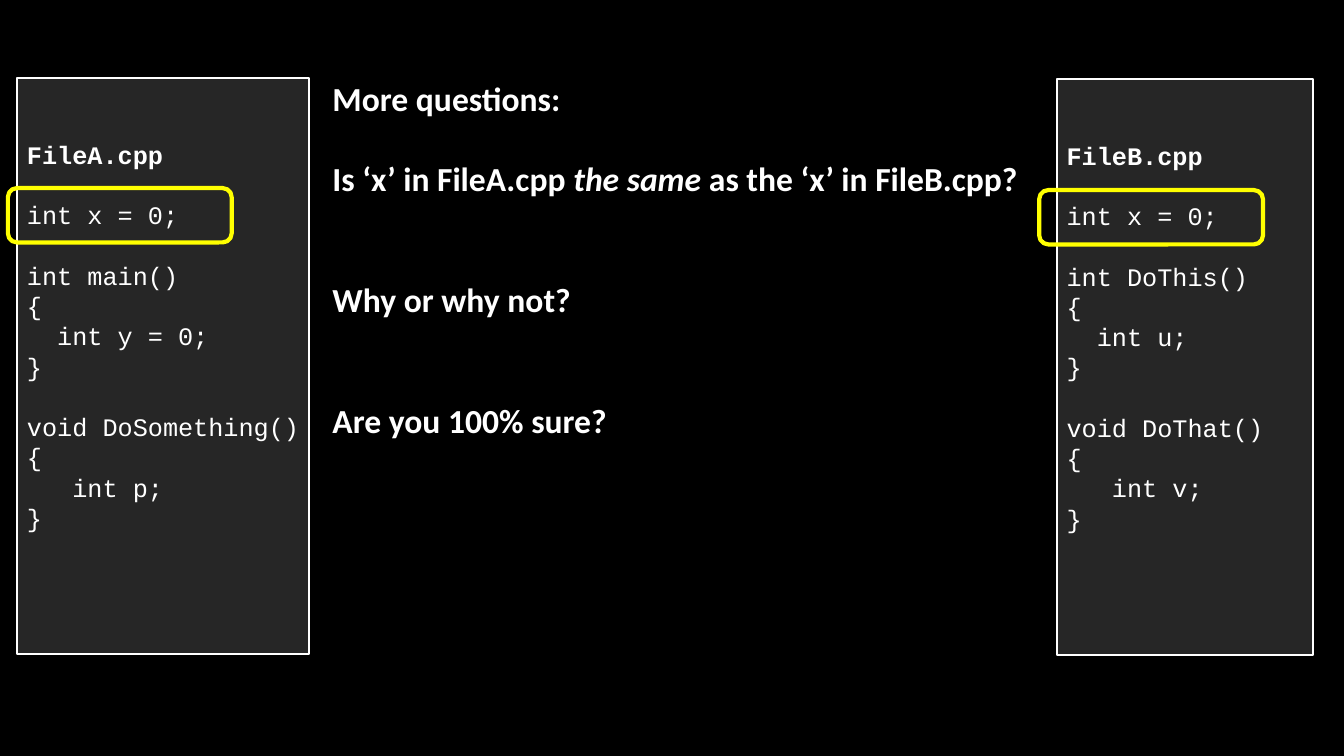
from pptx import Presentation
from pptx.dml.color import RGBColor
from pptx.enum.shapes import MSO_SHAPE
from pptx.enum.text import MSO_ANCHOR, PP_ALIGN
from pptx.util import Cm, Pt

RECTANGLE = MSO_SHAPE.RECTANGLE
ROUNDED = MSO_SHAPE.ROUNDED_RECTANGLE
MIDDLE = MSO_ANCHOR.MIDDLE
LEFT = PP_ALIGN.LEFT

COLORS = {"background": "000000", "panel": "262626", "text": "FFFFFF", "highlight": "FFFF00"}
LINE_PITCH = 1.2  # line height as a multiple of the font size

FILE_A = [
    ["FileA.cpp"],
    ["int x = 0;"],
    ["int main()", "{", "  int y = 0;", "}"],
    ["void DoSomething()", "{", "   int p;", "}"],
]
FILE_B = [
    ["FileB.cpp"],
    ["int x = 0;"],
    ["int DoThis()", "{", "  int u;", "}"],
    ["void DoThat()", "{", "   int v;", "}"],
]
# Each question: empty lines above it, then its (text, italic) runs
QUESTIONS = [
    (0, [("More questions:", False)]),
    (1, [("Is ‘x’ in FileA.cpp ", False), ("the same ", True),
         ("as the ‘x’ in FileB.cpp?", False)]),
    (2, [("Why or why not?", False)]),
    (2, [("Are you 100% sure?", False)]),
]


def color(name):
    return RGBColor.from_string(COLORS[name])


def add_outlined_shape(slide, kind, box, line_color, line_width):
    shape = slide.shapes.add_shape(kind, *(Cm(length) for length in box))
    shape.shadow.inherit = False
    shape.line.color.rgb = color(line_color)
    shape.line.width = Pt(line_width)
    return shape


def add_line(frame, index, runs, font_name, size, bold, empty_lines):
    """Write one paragraph, with room for empty_lines above it."""
    paragraph = frame.paragraphs[0] if index == 0 else frame.add_paragraph()
    paragraph.alignment = LEFT
    paragraph.line_spacing = Pt(size * LINE_PITCH)
    if empty_lines:
        paragraph.space_before = Pt(size * LINE_PITCH * empty_lines)
    font = paragraph.font
    font.name, font.size, font.bold = font_name, Pt(size), bold
    font.color.rgb = color("text")
    for text, italic in runs:
        run = paragraph.add_run()
        run.text = text
        if italic:
            run.font.italic = True


def add_code_panel(slide, box, blocks):
    panel = add_outlined_shape(slide, RECTANGLE, box, "text", 1.5)
    panel.fill.solid()
    panel.fill.fore_color.rgb = color("panel")
    frame = panel.text_frame
    frame.word_wrap = True
    frame.vertical_anchor = MIDDLE
    frame.margin_right = 0
    frame.margin_bottom = Cm(1.65)
    index = 0
    for block in blocks:
        for position, text in enumerate(block):
            gap = 1 if index and position == 0 else 0
            add_line(frame, index, [(text, False)], "Courier New", 18, index == 0, gap)
            index += 1


def add_highlight(slide, left, top):
    highlight = add_outlined_shape(slide, ROUNDED, (left, top, 5.64, 1.37), "highlight", 3)
    highlight.fill.background()


def add_questions(slide, box):
    frame = slide.shapes.add_textbox(*(Cm(length) for length in box)).text_frame
    frame.word_wrap = True
    for index, (empty_lines, runs) in enumerate(QUESTIONS):
        add_line(frame, index, runs, "Calibri", 24, True, empty_lines)


def main():
    presentation = Presentation()
    presentation.slide_width, presentation.slide_height = Cm(33.87), Cm(19.05)
    slide = presentation.slides.add_slide(presentation.slide_layouts[6])
    slide.background.fill.solid()
    slide.background.fill.fore_color.rgb = color("background")

    add_code_panel(slide, (0.43, 1.97, 7.37, 14.51), FILE_A)
    add_code_panel(slide, (26.63, 1.99, 6.45, 14.51), FILE_B)
    add_questions(slide, (8.13, 1.83, 18.29, 9.5))
    add_highlight(slide, 0.2, 4.74)
    add_highlight(slide, 26.19, 4.79)
    presentation.save("out.pptx")


if __name__ == "__main__":
    main()
